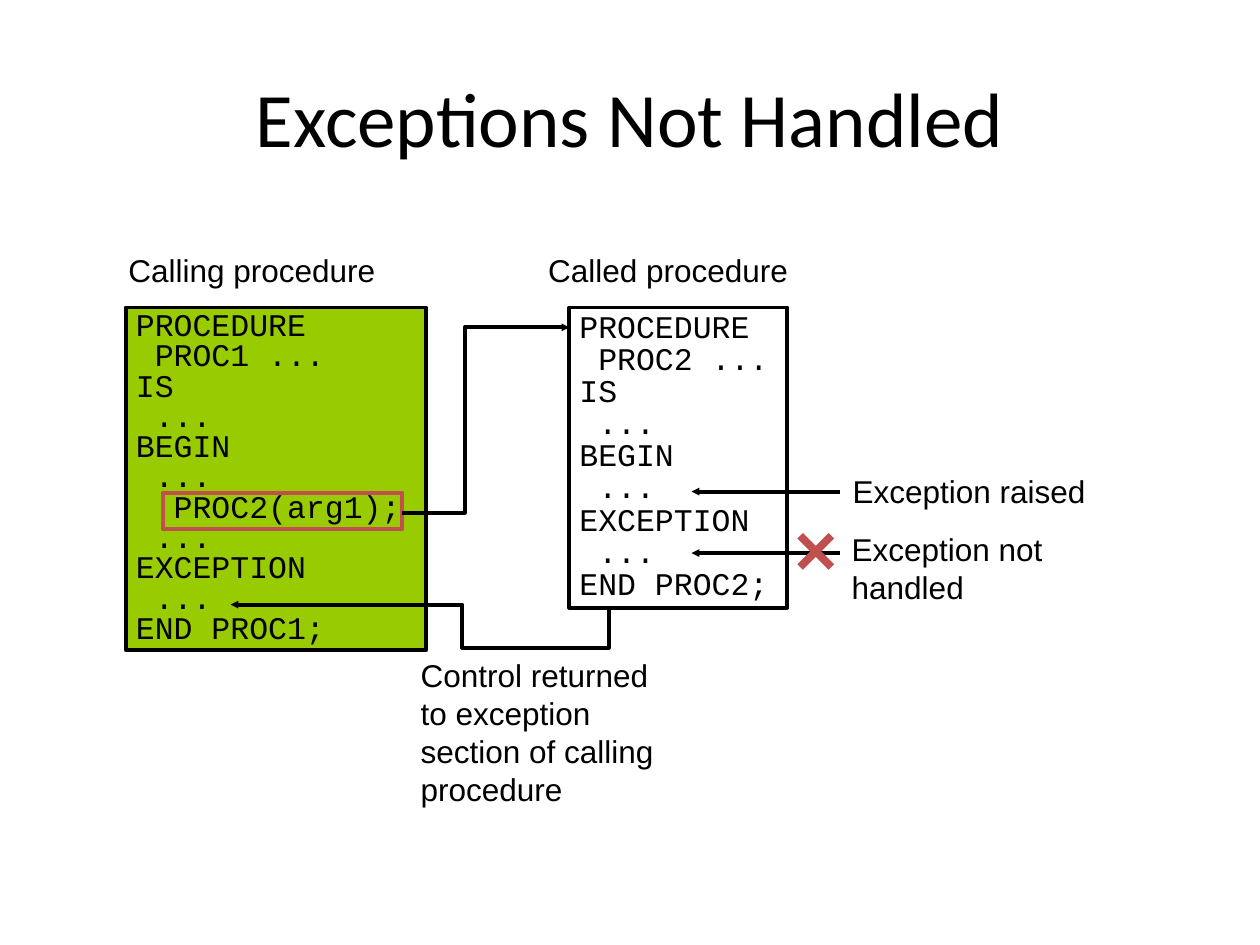
from lxml.etree import SubElement
from pptx import Presentation
from pptx.dml.color import RGBColor
from pptx.enum.shapes import MSO_CONNECTOR, MSO_SHAPE
from pptx.enum.text import MSO_ANCHOR, MSO_AUTO_SIZE, PP_ALIGN
from pptx.oxml.ns import qn
from pptx.util import Cm, Pt

BLACK = RGBColor(0x00, 0x00, 0x00)
WHITE = RGBColor(0xFF, 0xFF, 0xFF)
GREEN = RGBColor(0x99, 0xCC, 0x00)
RED = RGBColor(0xC0, 0x50, 0x4D)

CALLING_CODE = """PROCEDURE
 PROC1 ...
IS
 ...
BEGIN
 ...
  PROC2(arg1);
 ...
EXCEPTION
 ...
END PROC1;"""
CALLED_CODE = """PROCEDURE
 PROC2 ...
IS
 ...
BEGIN
 ...
EXCEPTION
 ...
END PROC2;"""


def write(frame, text, font_name, size, spacing=1.0, align=PP_ALIGN.LEFT):
    """Fill a text frame with one paragraph for each line of text."""
    frame.word_wrap = True
    for number, line in enumerate(text.split("\n")):
        paragraph = frame.paragraphs[0] if number == 0 else frame.add_paragraph()
        paragraph.alignment = align
        paragraph.line_spacing = spacing
        span = paragraph.add_run()
        span.text = line
        span.font.name = font_name
        span.font.size = Pt(size)
        span.font.color.rgb = BLACK


def style_line(shape, color=BLACK, width=2.25, arrow=False):
    shape.line.color.rgb = color
    shape.line.width = Pt(width)
    if arrow:
        SubElement(shape.get_or_add_ln(), qn("a:tailEnd"), type="triangle", w="sm", len="sm")


deck = Presentation()
deck.slide_width, deck.slide_height = Cm(25.4), Cm(19.05)
page = deck.slides.add_slide(deck.slide_layouts[6])
shapes = page.shapes

title = shapes.add_textbox(Cm(1.27), Cm(0.76), Cm(22.86), Cm(3.18))
title.text_frame.vertical_anchor = MSO_ANCHOR.MIDDLE
write(title.text_frame, "Exceptions Not Handled", "Calibri", 44, align=PP_ALIGN.CENTER)

# Code of the two procedures
for left, width, height, fill, spacing, code in (
    (2.54, 6.05, 6.91, GREEN, 0.8, CALLING_CODE),
    (11.48, 4.39, 6.05, WHITE, 0.85, CALLED_CODE),
):
    box = shapes.add_shape(MSO_SHAPE.RECTANGLE, Cm(left), Cm(6.2), Cm(width), Cm(height))
    box.shadow.inherit = False
    box.fill.solid()
    box.fill.fore_color.rgb = fill
    style_line(box)
    frame = box.text_frame
    frame.margin_left = frame.margin_right = Cm(0.2)
    frame.margin_top = frame.margin_bottom = Cm(0.1)
    frame.vertical_anchor = MSO_ANCHOR.TOP
    frame.auto_size = MSO_AUTO_SIZE.SHAPE_TO_FIT_TEXT
    write(frame, code, "Courier New", 18, spacing)

# Labels
for left, top, width, height, spacing, text in (
    (2.34, 5, 6.35, 0.99, 0.95, "Calling procedure"),
    (10.8, 5, 5.92, 0.99, 0.95, "Called procedure"),
    (8.23, 13.11, 5.74, 3.3, 1.0, "Control returned to exception section of calling procedure"),
    (16.94, 9.4, 5.72, 1.02, 1.0, "Exception raised"),
    (16.92, 10.57, 6.15, 1.78, 1.0, "Exception not handled"),
):
    label = shapes.add_textbox(Cm(left), Cm(top), Cm(width), Cm(height))
    label.text_frame.auto_size = MSO_AUTO_SIZE.SHAPE_TO_FIT_TEXT
    write(label.text_frame, text, "Arial", 18, spacing)

# Frame around the call statement
call_frame = shapes.add_shape(MSO_SHAPE.RECTANGLE, Cm(3.28), Cm(9.93), Cm(4.83), Cm(0.74))
call_frame.shadow.inherit = False
call_frame.fill.background()
style_line(call_frame, RED)

# Routes of the call and of the return
call_route = ((8.1, 10.34), (9.37, 10.34), (9.37, 6.6), (11.48, 6.6))
return_route = ((12.27, 12.25), (12.27, 13.06), (9.32, 13.06), (9.32, 12.19), (4.65, 12.19))
for route in (call_route, return_route):
    start, *corners = [(Cm(x), Cm(y)) for x, y in route]
    builder = shapes.build_freeform(*start)
    builder.add_line_segments(corners, close=False)
    path_shape = builder.convert_to_shape()
    path_shape.shadow.inherit = False
    path_shape.fill.background()
    style_line(path_shape, arrow=True)

# Exception arrows, then the cross on the second one
for start_x, start_y, end_x, end_y, color, width, arrow in (
    (16.94, 9.91, 13.94, 9.91, BLACK, 2.25, True),
    (16.94, 11.15, 13.94, 11.15, BLACK, 2.25, True),
    (16.13, 10.8, 16.76, 11.43, RED, 4.5, False),
    (16.76, 10.8, 16.13, 11.43, RED, 4.5, False),
):
    connector = shapes.add_connector(
        MSO_CONNECTOR.STRAIGHT, Cm(start_x), Cm(start_y), Cm(end_x), Cm(end_y)
    )
    style_line(connector, color, width, arrow)
    SubElement(connector._element.spPr, qn("a:effectLst"))

deck.save("out.pptx")
